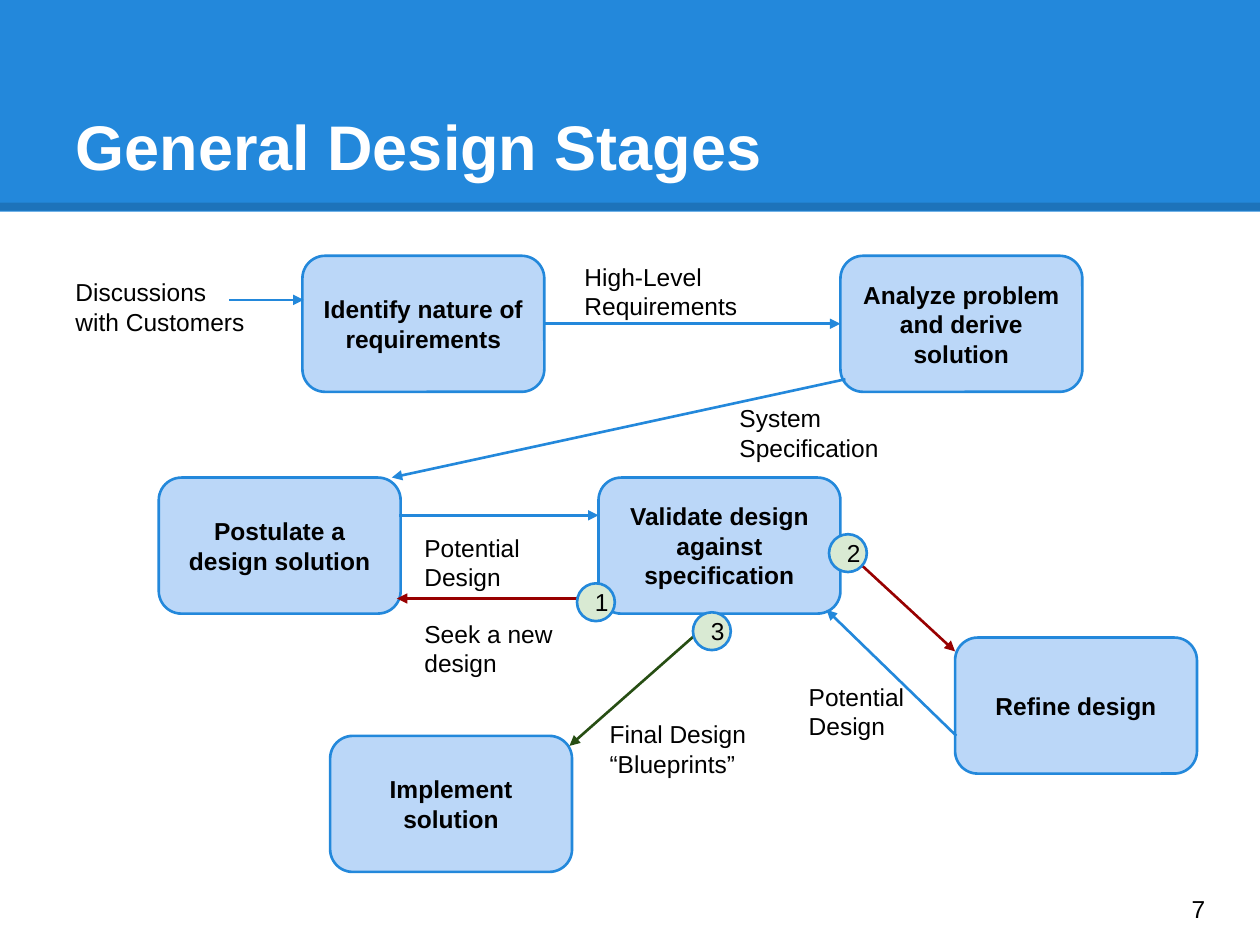
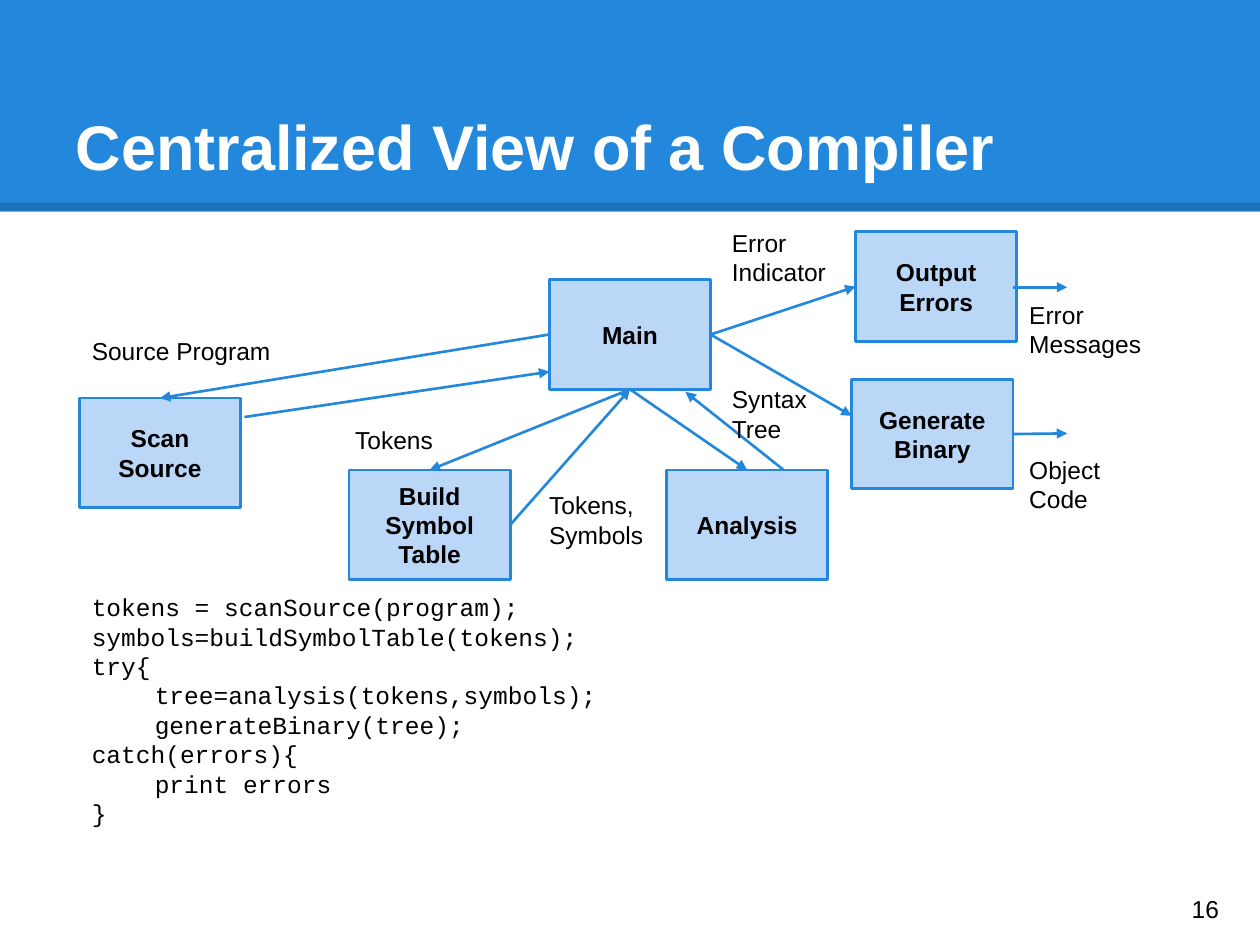
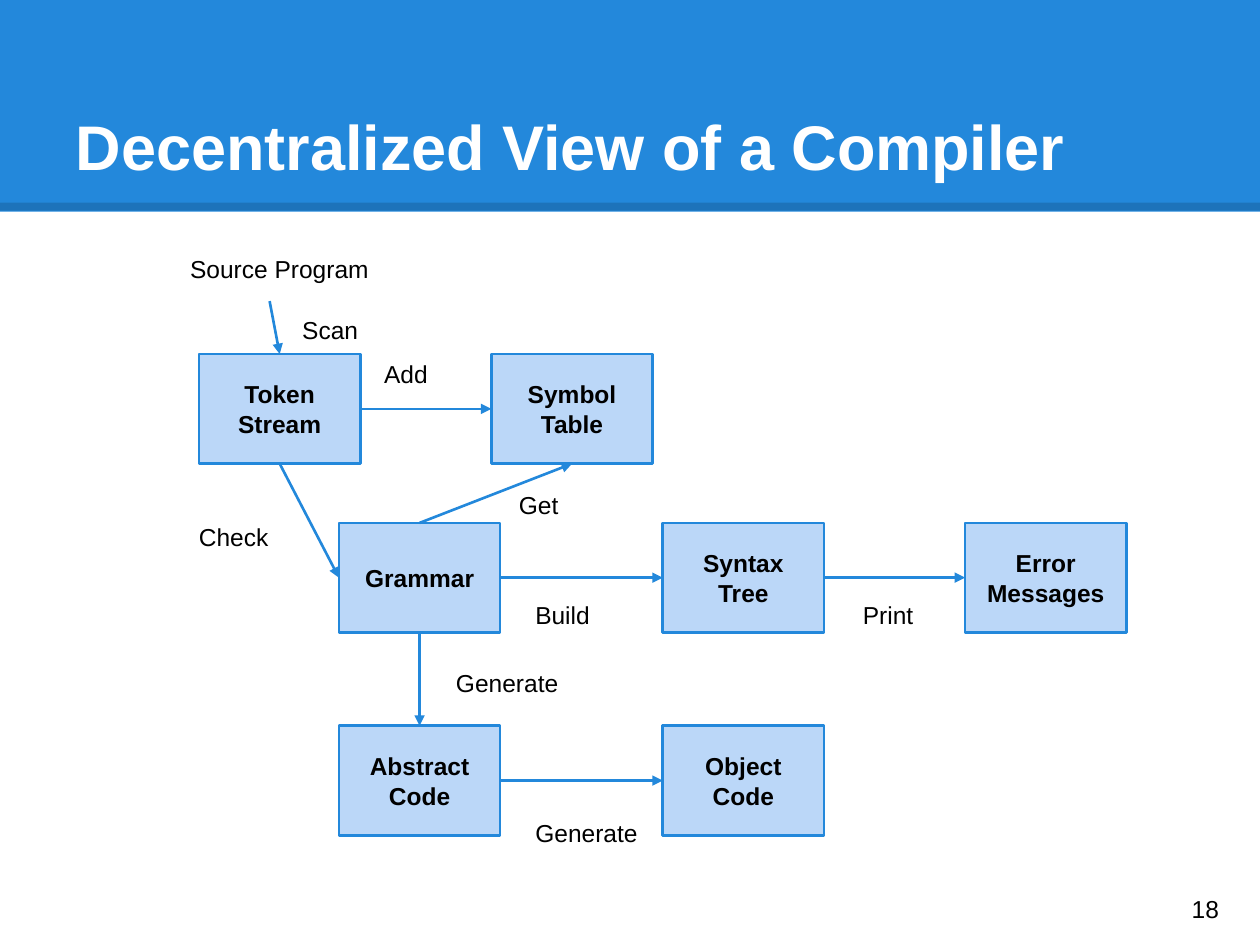
from dataclasses import dataclass
from typing import NamedTuple

import pptx
import pptx.dml.color
import pptx.enum.shapes
import pptx.enum.text
import pptx.oxml
import pptx.oxml.ns
import pptx.util
from pptx.util import Inches

RGBColor = pptx.dml.color.RGBColor
MSO_SHAPE = pptx.enum.shapes.MSO_SHAPE
PP_ALIGN = pptx.enum.text.PP_ALIGN
MSO_ANCHOR = pptx.enum.text.MSO_ANCHOR
qn = pptx.oxml.ns.qn

BLUE = RGBColor(0x23, 0x88, 0xDB)
PALE_BLUE = RGBColor(0xBB, 0xD7, 0xF8)
PALE_GREEN = RGBColor(0xD9, 0xEA, 0xD3)
RED = RGBColor(0x98, 0x00, 0x00)
GREEN = RGBColor(0x27, 0x4E, 0x13)
BLACK = RGBColor(0x00, 0x00, 0x00)
WHITE = RGBColor(0xFF, 0xFF, 0xFF)

SANS = "Arial"
MONO = "Courier New"
BODY_SIZE = pptx.util.Pt(14)
BODY_SPACING = pptx.util.Pt(16.8)
LINE_WIDTH = pptx.util.Pt(1.5)
INSET = Inches(0.1)
BADGE_SIZE = 0.3

TOP, LEFT, BOTTOM, RIGHT = range(4)


class Point(NamedTuple):
    x: float
    y: float


class Side(NamedTuple):
    """The middle of one side of the box with this text."""
    box: str
    site: int


@dataclass(frozen=True)
class Box:
    text: str
    left: float
    top: float


@dataclass(frozen=True)
class BoxStyle:
    preset: MSO_SHAPE
    width: float
    height: float


@dataclass(frozen=True)
class Arrow:
    start: Point | Side
    end: Point | Side
    color: RGBColor = BLUE


@dataclass(frozen=True)
class Label:
    text: str
    left: float
    top: float
    width: float
    height: float = 0.4
    font: str = SANS
    anchor: MSO_ANCHOR = MSO_ANCHOR.TOP


@dataclass(frozen=True)
class Diagram:
    title: str
    number: int
    style: BoxStyle
    boxes: list[Box]
    arrows: list[Arrow]
    labels: list[Label]
    badges: list[Box]


STAGE = BoxStyle(MSO_SHAPE.ROUNDED_RECTANGLE, 1.92, 1.08)
MODULE = BoxStyle(MSO_SHAPE.RECTANGLE, 1.28, 0.87)

IDENTIFY = "Identify nature of requirements"
ANALYZE = "Analyze problem and derive solution"
VALIDATE = "Validate design against specification"

CODE = """tokens = scanSource(program);
symbols=buildSymbolTable(tokens);
try{
\ttree=analysis(tokens,symbols);
\tgenerateBinary(tree);
catch(errors){
\tprint errors
}"""

DESIGN_STAGES = Diagram(
    "General Design Stages", 7, STAGE,
    boxes=[
        Box(IDENTIFY, 2.4, 2.03),
        Box(ANALYZE, 6.67, 2.03),
        Box("Postulate a design solution", 1.26, 3.79),
        Box(VALIDATE, 4.75, 3.79),
        Box("Refine design", 7.58, 5.06),
        Box("Implement solution", 2.62, 5.84),
    ],
    arrows=[
        Arrow(Point(1.82, 2.38), Point(2.41, 2.38)),
        Arrow(Side(IDENTIFY, RIGHT), Side(ANALYZE, LEFT)),
        Arrow(Point(6.71, 3.01), Point(3.11, 3.79)),
        Arrow(Point(3.17, 4.09), Point(4.75, 4.09)),
        Arrow(Point(4.78, 4.75), Point(3.15, 4.75), RED),
        Arrow(Side(VALIDATE, RIGHT), Point(7.58, 5.17), RED),
        Arrow(Point(7.59, 5.84), Point(6.56, 4.84)),
        Arrow(Side(VALIDATE, BOTTOM), Point(4.52, 5.92), GREEN),
    ],
    labels=[
        Label("Discussions\nwith Customers", 0.5, 2.1, 1.55, 0.7),
        Label("High-Level Requirements", 4.54, 1.98, 1.92),
        Label("System Specification", 5.77, 3.1, 1.92),
        Label("Potential Design", 3.27, 4.13, 1.37),
        Label("Seek a new design", 3.27, 4.81, 1.37),
        Label("Potential Design", 6.32, 5.31, 1.37),
        Label("Final Design “Blueprints”", 4.74, 5.61, 1.37),
    ],
    badges=[Box("1", 4.58, 4.63), Box("2", 6.58, 4.24), Box("3", 5.5, 4.86)],
)

CENTRALIZED = Diagram(
    "Centralized View of a Compiler", 16, MODULE,
    boxes=[
        Box("Scan Source", 0.63, 3.16),
        Box("Build Symbol Table", 2.77, 3.73),
        Box("Analysis", 5.29, 3.73),
        Box("Generate Binary", 6.76, 3.01),
        Box("Output Errors", 6.79, 1.84),
        Box("Main", 4.36, 2.22),
    ],
    arrows=[
        Arrow(Point(1.94, 3.31), Point(4.36, 2.95)),
        Arrow(Side("Main", LEFT), Side("Scan Source", TOP)),
        Arrow(Side("Build Symbol Table", RIGHT), Side("Main", BOTTOM)),
        Arrow(Point(6.22, 3.73), Point(5.44, 3.11)),
        Arrow(Side("Generate Binary", RIGHT), Point(8.47, 3.44)),
        Arrow(Side("Main", RIGHT), Side("Output Errors", LEFT)),
        Arrow(Side("Main", RIGHT), Point(6.76, 3.3)),
        Arrow(Side("Main", BOTTOM), Side("Build Symbol Table", TOP)),
        Arrow(Side("Main", BOTTOM), Side("Analysis", TOP)),
        Arrow(Point(8.04, 2.28), Point(8.47, 2.28)),
    ],
    labels=[
        Label("Source Program", 0.63, 2.57, 1.82),
        Label("Tokens", 2.72, 3.27, 0.87),
        Label("Tokens, Symbols", 4.26, 3.79, 1.03, 0.65),
        Label("Syntax Tree", 5.71, 2.95, 0.95, 0.56),
        Label("Object Code", 8.07, 3.51, 0.81, 0.56),
        Label("Error Indicator", 5.71, 1.71, 1.08, 0.79),
        Label("Error Messages", 8.07, 2.28, 1.22, 0.3),
        Label(CODE, 0.63, 4.6, 4.59, 2.63, MONO),
    ],
    badges=[],
)

DECENTRALIZED = Diagram(
    "Decentralized View of a Compiler", 18, MODULE,
    boxes=[
        Box("Token Stream", 1.58, 2.81),
        Box("Symbol Table", 3.9, 2.81),
        Box("Grammar", 2.69, 4.15),
        Box("Syntax Tree", 5.26, 4.15),
        Box("Error Messages", 7.66, 4.15),
        Box("Abstract Code", 2.69, 5.76),
        Box("Object Code", 5.26, 5.76),
    ],
    arrows=[
        Arrow(Point(2.14, 2.39), Side("Token Stream", TOP)),
        Arrow(Side("Token Stream", RIGHT), Side("Symbol Table", LEFT)),
        Arrow(Side("Token Stream", BOTTOM), Side("Grammar", LEFT)),
        Arrow(Side("Grammar", TOP), Side("Symbol Table", BOTTOM)),
        Arrow(Side("Grammar", RIGHT), Side("Syntax Tree", LEFT)),
        Arrow(Side("Syntax Tree", RIGHT), Side("Error Messages", LEFT)),
        Arrow(Side("Grammar", BOTTOM), Side("Abstract Code", TOP)),
        Arrow(Side("Abstract Code", RIGHT), Side("Object Code", LEFT)),
    ],
    labels=[
        Label("Source Program", 1.41, 1.92, 1.82),
        Label("Scan", 2.3, 2.4, 0.71, 0.2),
        Label("Add", 2.95, 2.75, 0.87),
        Label("Get", 4.02, 3.79, 1.03),
        Label("Check", 1.48, 4.04, 1.08, 0.2),
        Label("Build", 4.15, 4.66, 0.94),
        Label("Print", 6.75, 4.66, 0.71, 0.3),
        Label("Generate", 3.52, 5.2, 1.08),
        Label("Generate", 4.15, 6.39, 1.08, 0.2),
    ],
    badges=[],
)


def set_frame(frame: pptx.text.text.TextFrame, anchor: MSO_ANCHOR) -> None:
    frame.word_wrap = True
    frame.auto_size = pptx.enum.text.MSO_AUTO_SIZE.NONE
    frame.vertical_anchor = anchor
    frame.margin_left = frame.margin_right = INSET
    frame.margin_top = frame.margin_bottom = INSET


def write_body(shape: pptx.shapes.autoshape.Shape, text: str,
               anchor: MSO_ANCHOR, font: str = SANS, bold: bool = False,
               align: PP_ALIGN = PP_ALIGN.LEFT) -> None:
    frame = shape.text_frame
    set_frame(frame, anchor)
    frame.text = text
    for paragraph in frame.paragraphs:
        paragraph.alignment = align
        paragraph.line_spacing = BODY_SPACING
        paragraph.font.name = font
        paragraph.font.size = BODY_SIZE
        paragraph.font.bold = bold
        paragraph.font.color.rgb = BLACK


def add_filled(slide: pptx.slide.Slide, box: Box, style: BoxStyle,
               fill: RGBColor) -> pptx.shapes.autoshape.Shape:
    shape = slide.shapes.add_shape(
        style.preset, Inches(box.left), Inches(box.top),
        Inches(style.width), Inches(style.height))
    shape.shadow.inherit = False
    shape.fill.solid()
    shape.fill.fore_color.rgb = fill
    shape.line.color.rgb = BLUE
    shape.line.width = LINE_WIDTH
    return shape


def add_line(slide: pptx.slide.Slide, start: Point, end: Point,
             color: RGBColor, width: int) -> pptx.shapes.connector.Connector:
    line = slide.shapes.add_connector(
        pptx.enum.shapes.MSO_CONNECTOR.STRAIGHT,
        Inches(start.x), Inches(start.y), Inches(end.x), Inches(end.y))
    line.line.color.rgb = color
    line.line.width = width
    pptx.oxml.ns  # namespace map used by qn
    line.element.spPr.append(pptx.oxml.parse_xml(
        f"<a:effectLst {pptx.oxml.ns.nsdecls('a')}/>"))
    return line


def add_arrow(slide: pptx.slide.Slide, arrow: Arrow,
              boxes: dict[str, pptx.shapes.autoshape.Shape]) -> None:
    origin = Point(0, 0)
    start, end = (tip if isinstance(tip, Point) else origin
                  for tip in (arrow.start, arrow.end))
    connector = add_line(slide, start, end, arrow.color, LINE_WIDTH)
    if isinstance(arrow.start, Side):
        connector.begin_connect(boxes[arrow.start.box], arrow.start.site)
    if isinstance(arrow.end, Side):
        connector.end_connect(boxes[arrow.end.box], arrow.end.site)
    connector.element.spPr.find(qn("a:ln")).append(pptx.oxml.parse_xml(
        f"<a:tailEnd {pptx.oxml.ns.nsdecls('a')} type='triangle'/>"))


def add_label(slide: pptx.slide.Slide, label: Label) -> None:
    text_box = slide.shapes.add_textbox(
        Inches(label.left), Inches(label.top),
        Inches(label.width), Inches(label.height))
    write_body(text_box, label.text, label.anchor, label.font)


def add_band(slide: pptx.slide.Slide) -> None:
    """Draw the title band and move it to the layout, behind every title."""
    band = add_filled(slide, Box("", 0, 0),
                      BoxStyle(MSO_SHAPE.RECTANGLE, 10, 1.68), BLUE)
    band.line.fill.background()
    edge = add_line(slide, Point(0, 1.64), Point(10, 1.64), BLACK,
                    pptx.util.Pt(4.5))
    color = next(edge.element.iter(qn("a:srgbClr")))
    color.append(pptx.oxml.parse_xml(
        f"<a:alpha {pptx.oxml.ns.nsdecls('a')} val='15000'/>"))
    layout_tree = slide.slide_layout.shapes.element
    for position, part in enumerate((band, edge), start=2):
        layout_tree.insert(position, part.element)


def set_title(slide: pptx.slide.Slide, text: str) -> None:
    title = slide.shapes.title
    title.left, title.top = Inches(0.5), Inches(0.3)
    title.width, title.height = Inches(9), Inches(1.25)
    set_frame(title.text_frame, MSO_ANCHOR.BOTTOM)
    title.text_frame.text = text
    paragraph = title.text_frame.paragraphs[0]
    paragraph.alignment = PP_ALIGN.LEFT
    paragraph.font.name = SANS
    paragraph.font.size = pptx.util.Pt(36)
    paragraph.font.bold = True
    paragraph.font.color.rgb = WHITE


def draw_diagram(slide: pptx.slide.Slide, diagram: Diagram) -> None:
    set_title(slide, diagram.title)
    boxes = {}
    for box in diagram.boxes:
        boxes[box.text] = add_filled(slide, box, diagram.style, PALE_BLUE)
        write_body(boxes[box.text], box.text, MSO_ANCHOR.MIDDLE, bold=True,
                   align=PP_ALIGN.CENTER)
    for arrow in diagram.arrows:
        add_arrow(slide, arrow, boxes)
    badge_style = BoxStyle(MSO_SHAPE.OVAL, BADGE_SIZE, BADGE_SIZE)
    for badge in diagram.badges:
        circle = add_filled(slide, badge, badge_style, PALE_GREEN)
        write_body(circle, badge.text, MSO_ANCHOR.MIDDLE)
    page_number = Label(str(diagram.number), 9.36, 6.93, 0.6, 0.57,
                        anchor=MSO_ANCHOR.MIDDLE)
    for label in [*diagram.labels, page_number]:
        add_label(slide, label)


def main() -> None:
    deck = pptx.Presentation()
    deck.slide_width, deck.slide_height = Inches(10), Inches(7.5)
    title_only = deck.slide_layouts[5]
    diagrams = [DESIGN_STAGES, CENTRALIZED, DECENTRALIZED]
    slides = [deck.slides.add_slide(title_only) for _ in diagrams]
    add_band(slides[0])
    for slide, diagram in zip(slides, diagrams):
        draw_diagram(slide, diagram)
    deck.save("out.pptx")


if __name__ == "__main__":
    main()
